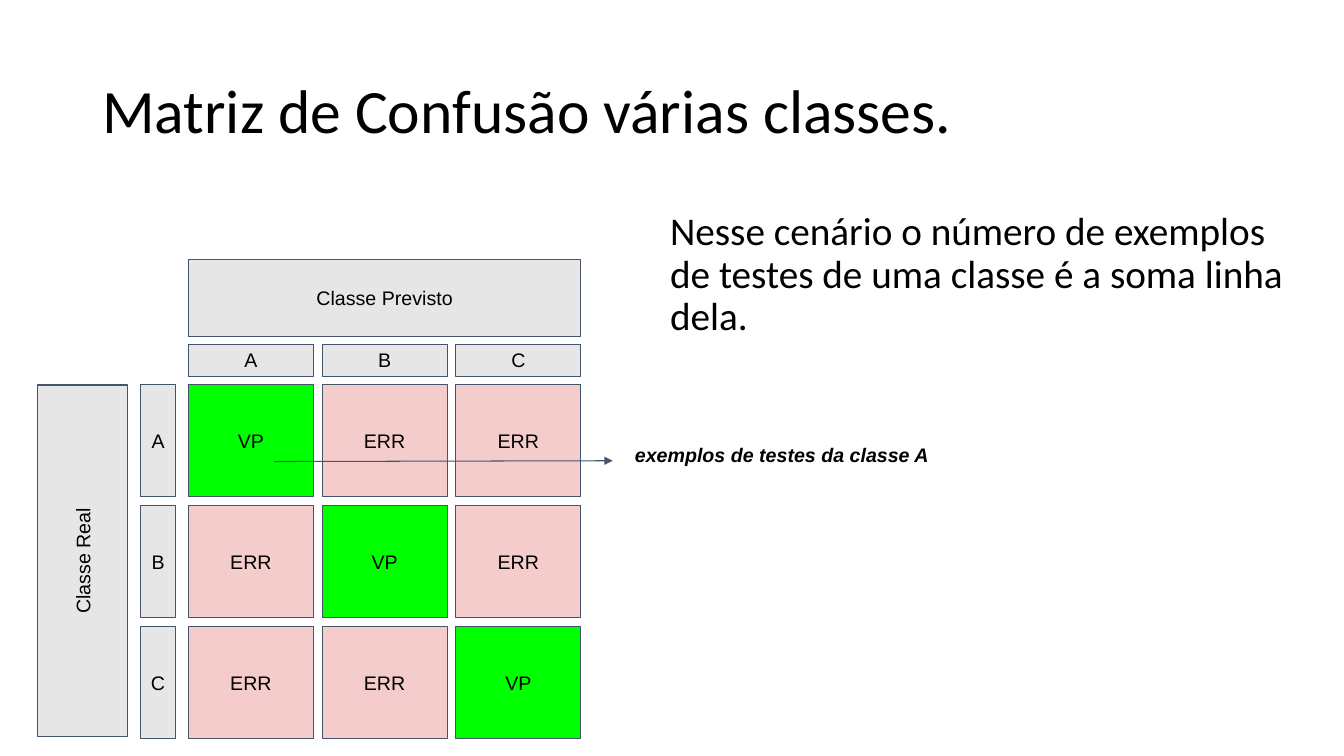
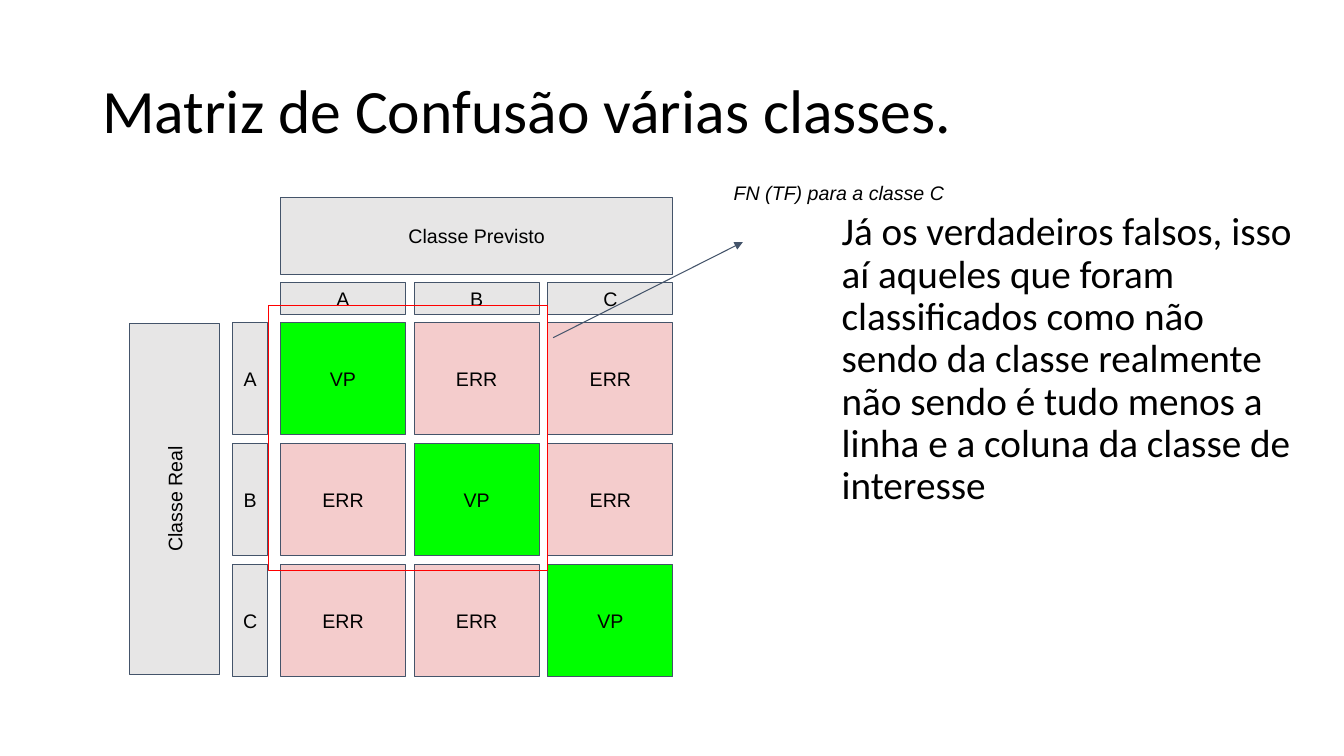
from lxml import etree
from pptx import Presentation
from pptx.dml.color import RGBColor
from pptx.enum.shapes import MSO_CONNECTOR, MSO_SHAPE
from pptx.enum.text import MSO_ANCHOR, PP_ALIGN
from pptx.oxml.ns import qn
from pptx.util import Cm, Pt

RECT = MSO_SHAPE.RECTANGLE
STRAIGHT = MSO_CONNECTOR.STRAIGHT
TOP, MIDDLE = MSO_ANCHOR.TOP, MSO_ANCHOR.MIDDLE
LEFT, CENTER = PP_ALIGN.LEFT, PP_ALIGN.CENTER

BLACK, GREY, NAVY = "000000", "E7E6E6", "44546A"
GREEN, PINK, RED = "00FF00", "F4CCCC", "FF0000"

TITLE = "Matriz de Confusão várias classes."
NAMES = "ABC"

# Matrix measures in cm
CELL_W, CELL_H = 3.15, 2.82
STEP_X, STEP_Y = 3.37, 3.05
SPAN_W = 2 * STEP_X + CELL_W
REAL_W, REAL_H = 8.86, 2.26


def color(code):
    return RGBColor.from_string(code)


def write(shape, text, size=14, font="Arial", bold=False, italic=False,
          align=LEFT, anchor=TOP, inset=0.25, space=None, before=0):
    frame = shape.text_frame
    frame.word_wrap = True
    frame.vertical_anchor = anchor
    frame.margin_left = frame.margin_right = Cm(0.25)
    frame.margin_top = frame.margin_bottom = Cm(inset)
    para = frame.paragraphs[0]
    para.alignment = align
    para.line_spacing = space
    para.space_before = Pt(before)
    run = para.add_run()
    run.text = text
    run.font.size = Pt(size)
    run.font.name = font
    run.font.bold = bold
    run.font.italic = italic
    run.font.color.rgb = color(BLACK)


def label(slide, box, text, **style):
    shape = slide.shapes.add_textbox(*map(Cm, box))
    write(shape, text, **style)


def prose(slide, box, text, **style):
    label(slide, box, text, font="Calibri", inset=0.13, space=0.9, **style)


def block(slide, box, text="", fill=None, line=NAVY, turn=0):
    shape = slide.shapes.add_shape(RECT, *map(Cm, box))
    shape.shadow.inherit = False
    shape.rotation = turn
    if fill:
        shape.fill.solid()
        shape.fill.fore_color.rgb = color(fill)
    else:
        shape.fill.background()
    shape.line.color.rgb = color(line)
    shape.line.width = Pt(0.75)
    if text:
        write(shape, text, align=CENTER, anchor=MIDDLE)


def arrow(slide, start, end):
    link = slide.shapes.add_connector(STRAIGHT, *map(Cm, start + end))
    link.line.color.rgb = color(NAVY)
    link.line.width = Pt(0.75)
    stroke = link.line._get_or_add_ln()
    etree.SubElement(stroke, qn("a:tailEnd"), type="triangle")
    etree.SubElement(link._element.spPr, qn("a:effectLst"))


def matrix(slide, x, y):
    """Draw the matrix with its first cell at x, y."""
    block(slide, (x - 2.67 - REAL_W / 2, y + 4.44 - REAL_H / 2,
                  REAL_W, REAL_H), "Classe Real", GREY, turn=270)
    block(slide, (x, y - 3.15, SPAN_W, 1.94), "Classe Previsto", GREY)
    for i, name in enumerate(NAMES):
        block(slide, (x + i * STEP_X, y - 1.02, CELL_W, 0.81), name, GREY)
        block(slide, (x - 1.21, y + i * STEP_Y, 0.89, CELL_H), name, GREY)
        for j in range(len(NAMES)):
            text, fill = ("VP", GREEN) if i == j else ("ERR", PINK)
            block(slide, (x + j * STEP_X, y + i * STEP_Y, CELL_W, CELL_H),
                  text, fill)


def start(deck, box, text):
    """Add a slide with the shared title and its body text."""
    slide = deck.slides.add_slide(deck.slide_layouts[6])
    prose(slide, (2.33, 1.01, 29.21, 3.68), TITLE, size=44, anchor=MIDDLE)
    prose(slide, box, text, size=28, before=10)
    return slide


def row_sum(deck):
    slide = start(deck, (16.64, 5.21, 16.26, 13.36),
                  "Nesse cenário o número de exemplos de testes de uma "
                  "classe é a soma linha dela.")
    matrix(slide, 4.75, 9.69)
    arrow(slide, (6.91, 11.63), (15.44, 11.61))
    label(slide, (15.75, 10.9, 8.92, 1.47), "exemplos de testes da classe A",
          bold=True, italic=True)


def negatives(deck):
    slide = start(deck, (20.96, 5.21, 11.91, 8.64),
                  "Já os verdadeiros falsos, isso aí aqueles que foram "
                  "classificados como não sendo da classe realmente não "
                  "sendo é tudo menos a linha e a coluna da classe de "
                  "interesse")
    matrix(slide, 7.07, 8.13)
    # Cells outside row and column C
    block(slide, (6.76, 7.7, 7.04, 6.68), line=RED)
    label(slide, (18.24, 4.32, 7.39, 1.52), "FN (TF) para a classe C",
          italic=True)
    arrow(slide, (13.94, 8.51), (18.72, 6.1))


def main():
    deck = Presentation()
    deck.slide_width, deck.slide_height = Cm(33.87), Cm(19.05)
    row_sum(deck)
    negatives(deck)
    deck.save("out.pptx")


main()
